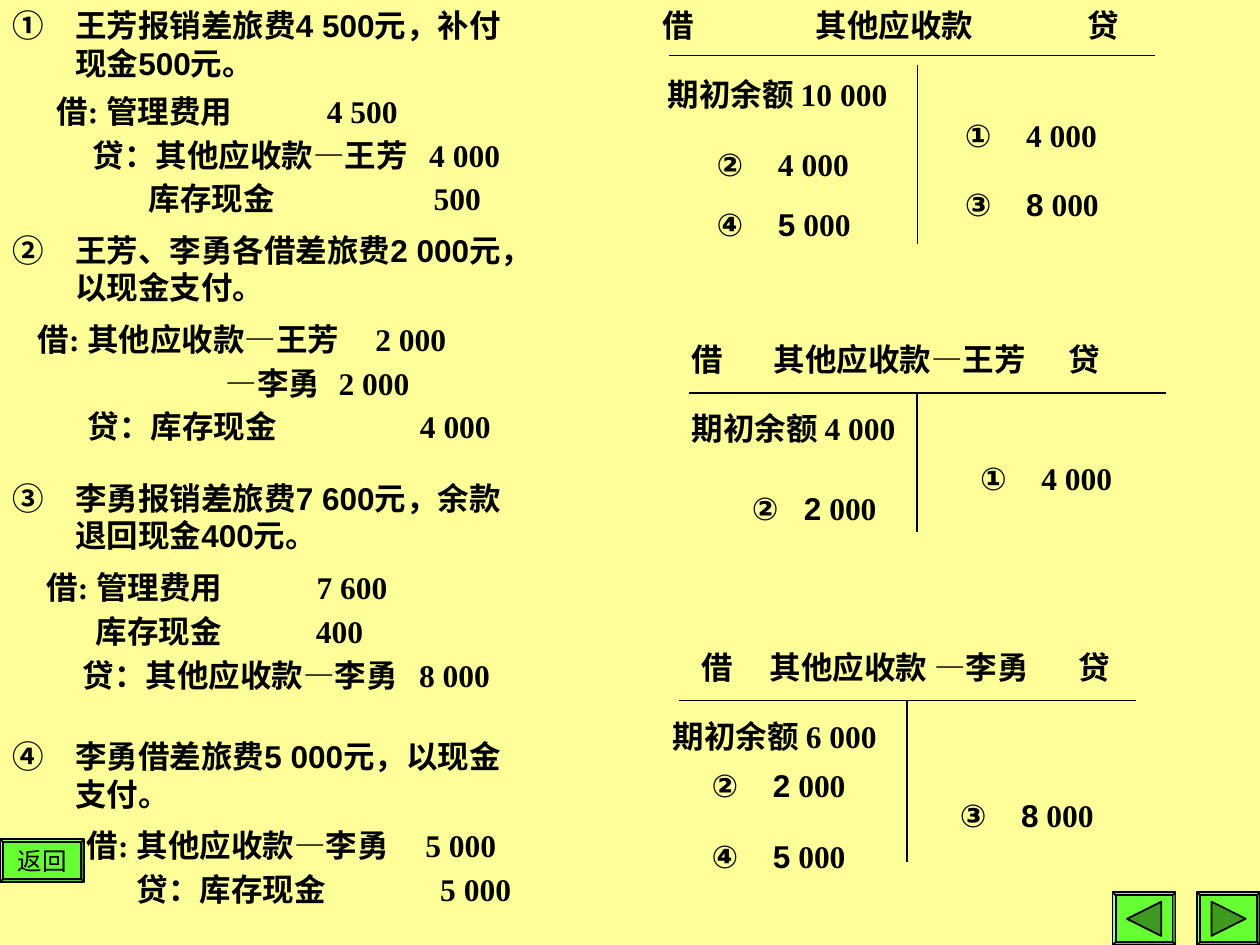
from dataclasses import dataclass
from lxml import etree
from pptx import Presentation
from pptx.dml.color import RGBColor
from pptx.enum.shapes import MSO_CONNECTOR, MSO_SHAPE
from pptx.enum.text import MSO_ANCHOR, MSO_AUTO_SIZE, PP_ALIGN
from pptx.oxml.ns import qn
from pptx.util import Pt

STRAIGHT = MSO_CONNECTOR.STRAIGHT
BEVEL = MSO_SHAPE.BEVEL
TRIANGLE = MSO_SHAPE.ISOSCELES_TRIANGLE
MIDDLE = MSO_ANCHOR.MIDDLE
CENTER = PP_ALIGN.CENTER
GROW = MSO_AUTO_SIZE.SHAPE_TO_FIT_TEXT


@dataclass
class Theme:
    paper: RGBColor = RGBColor(0xFF, 0xFF, 0x99)
    ink: RGBColor = RGBColor(0, 0, 0)
    button: RGBColor = RGBColor(0x66, 0xFF, 0x33)
    arrow: RGBColor = RGBColor(0x3D, 0x99, 0x1F)
    sans: str = "Arial"
    serif: str = "Times New Roman"
    body: int = 18
    label: int = 14


theme = Theme()
prs = Presentation()
prs.slide_width, prs.slide_height = Pt(720), Pt(540)
s = prs.slides.add_slide(prs.slide_layouts[6])
s.background.fill.solid()
s.background.fill.fore_color.rgb = theme.paper


def add_text(x, y, w, h, paragraphs, hanging=0):
    sp = s.shapes.add_textbox(Pt(x), Pt(y), Pt(w), Pt(h))
    tf = sp.text_frame
    tf.word_wrap = True
    tf.auto_size = GROW
    for i, (runs, stops) in enumerate(paragraphs):
        p = tf.paragraphs[0] if i == 0 else tf.add_paragraph()
        pPr = p._p.get_or_add_pPr()
        if hanging:
            pPr.set("marL", str(Pt(hanging)))
            pPr.set("indent", str(-Pt(hanging)))
        if stops:
            tabs = etree.SubElement(pPr, qn("a:tabLst"))
            for stop in stops:
                etree.SubElement(tabs, qn("a:tab"), pos=str(Pt(stop)), algn="l")
        if i:
            p.space_before = Pt(3.4)
        for text, font in runs:
            r = p.add_run()
            r.text = text
            r.font.name, r.font.size, r.font.bold = font, Pt(theme.body), True
            r.font.color.rgb = theme.ink


def add_button(kind, x, y, w, h, fill):
    sp = s.shapes.add_shape(kind, Pt(x), Pt(y), Pt(w), Pt(h))
    sp.shadow.inherit = False
    sp.fill.solid()
    sp.fill.fore_color.rgb = fill
    sp.line.color.rgb = theme.ink
    sp.line.width = Pt(1)
    if kind == BEVEL:
        sp.adjustments[0] = 1.8 / h
    return sp


sp = add_button(BEVEL, 0, 479.5, 48.2, 24.5, theme.button)
tf = sp.text_frame
tf.word_wrap = False
tf.vertical_anchor = MIDDLE
p = tf.paragraphs[0]
p.alignment = CENTER
r = p.add_run()
r.text = "返回"
r.font.name, r.font.size = theme.serif, Pt(theme.label)
r.font.color.rgb = theme.ink

for x, rotation in [(635.8, 270), (684, 90)]:
    add_button(BEVEL, x, 509.8, 36, 30.2, theme.button)
    sp = add_button(TRIANGLE, x + 8.2, 515.2, 19.6, 19.6, theme.arrow)
    sp.rotation = rotation

events = [
    (0, 303.1, "①\t王芳报销差旅费4 500元，补付现金500元。"),
    (128.2, 308.9, "②\t王芳、李勇各借差旅费2 000元，以现金支付。"),
    (270, 308.9, "③\t李勇报销差旅费7 600元，余款退回现金400元。"),
    (417.6, 297.4, "④\t李勇借差旅费5 000元，以现金支付。"),
]
for y, w, text in events:
    add_text(0, y, w, 50.4, [([(text, theme.sans)], [0])], hanging=36)

entries = [
    (25.2, 49, 277.9, 79.2, [
        ("借: 管理费用\t4 500", [154.5]),
        ("\t贷：其他应收款—王芳\t4 000", [20.6, 213]),
        ("\t库存现金\t500", [52.7, 215.5])]),
    (14.4, 179.3, 295.2, 79.2, [
        ("借: 其他应收款—王芳\t2 000", [193]),
        ("\t—李勇\t2 000", [107.5, 172]),
        ("\t贷：库存现金\t4 000", [28.7, 218.5])]),
    (19.4, 321.1, 277.9, 79.2, [
        ("借: 管理费用\t7 600", [154.5]),
        ("\t库存现金\t400", [28.2, 154]),
        ("\t贷：其他应收款—李勇\t8 000", [20.8, 213])]),
    (42.5, 468.7, 277.9, 54, [
        ("借: 其他应收款—李勇\t5 000", [193.5]),
        ("\t贷：库存现金\t5 000", [28.6, 202])]),
]
for x, y, w, h, lines in entries:
    add_text(x, y, w, h, [([(text, theme.serif)], stops) for text, stops in lines])

headings = [
    (371.5, 0, 368.6, "借\t其他应收款\t贷", [87.5, 243]),
    (388.1, 190.8, 365.8, "借\t其他应收款—王芳\t贷", [47, 215.5]),
    (393.8, 366.5, 311.8, "借\t其他应收款 —李勇\t贷", [39, 215.5]),
    (374.4, 39.6, 209.5, "期初余额 10 000", []),
    (388.1, 230.4, 190.1, "期初余额 4 000", []),
    (377.3, 406.1, 209.5, "期初余额 6 000", []),
]
for x, y, w, text, stops in headings:
    add_text(x, y, w, 50.4, [([(text, theme.serif)], stops)])

postings = [
    (402.5, 79.2, 124.6, 72, "②\t", "4 000", 35),
    (544.3, 62.6, 124.6, 72, "①\t", "4 000", 35),
    (544.3, 102.2, 124.6, 72, "③\t8", " 000", 35),
    (402.5, 113.8, 124.6, 72, "④\t5", " 000", 35),
    (553, 258.5, 124.6, 72, "①\t", "4 000", 35),
    (422.6, 275.8, 102.2, 93.6, "②\t2", " 000", 29.7),
    (399.6, 434.2, 124.6, 72, "②\t2", " 000", 35),
    (541.4, 451.4, 124.6, 72, "③\t8", " 000", 35),
    (399.6, 474.5, 124.6, 72, "④\t5", " 000", 35),
]
for x, y, w, h, mark, amount, stop in postings:
    add_text(x, y, w, h, [([(mark, theme.sans), (amount, theme.serif)], [stop])])

rules = [
    (382.3, 31.7, 660.2, 31.7, 0.75),
    (524.2, 37.4, 524.2, 139.7, 0.75),
    (393.8, 224.6, 666, 224.6, 0.75),
    (524.2, 224.6, 524.2, 303.8, 1),
    (388.1, 400.3, 649.4, 400.3, 0.75),
    (518.4, 400.3, 518.4, 492.5, 1),
]
for x1, y1, x2, y2, width in rules:
    sp = s.shapes.add_connector(STRAIGHT, Pt(x1), Pt(y1), Pt(x2), Pt(y2))
    sp.line.color.rgb = theme.ink
    sp.line.width = Pt(width)
    etree.SubElement(sp._element.spPr, qn("a:effectLst"))

prs.save("out.pptx")
